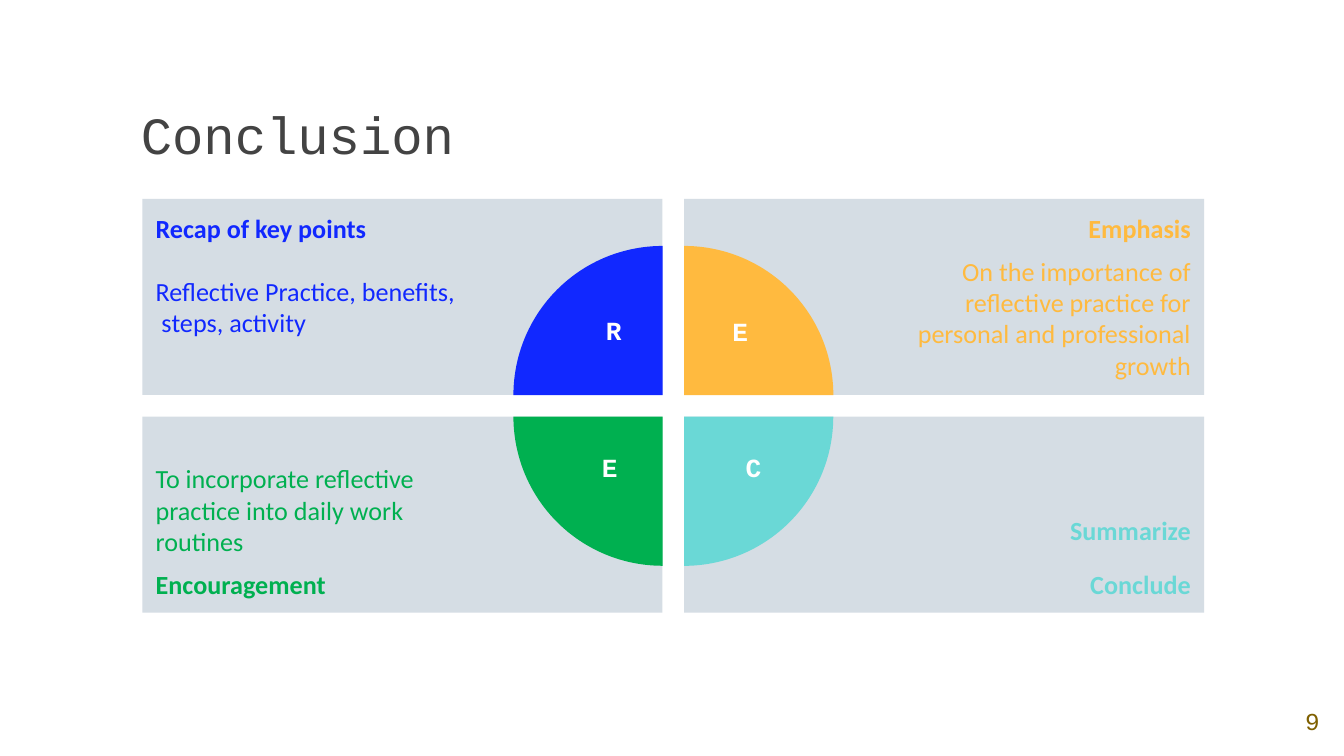
import pptx
import pptx.util
import pptx.dml.color
import pptx.enum.shapes
import pptx.enum.text

Inches, Pt = pptx.util.Inches, pptx.util.Pt
SHAPE = pptx.enum.shapes.MSO_SHAPE
ALIGN = pptx.enum.text.PP_ALIGN
ANCHOR = pptx.enum.text.MSO_ANCHOR

COLORS = {
    "title": "434343", "number": "7F6000", "panel": "D5DDE4", "letter": "FFFFFF",
    "recap": "1128FF", "emphasis": "FFBA3F", "encourage": "00B050", "summary": "6AD8D6",
}
LEFT, TOP, PANEL_W, PANEL_H, GAP = 1.06, 1.48, 3.87, 1.46, 0.16
PIE_D = 2.22  # diameter of each quarter's full circle
PAD, PIE_PAD = 0.1, 1.5


def rgb(name):
    return pptx.dml.color.RGBColor.from_string(COLORS[name])


def set_frame(tf, anchor, margins):
    tf.word_wrap = True
    tf.vertical_anchor = anchor
    sides = ("margin_left", "margin_top", "margin_right", "margin_bottom")
    for side, value in zip(sides, margins):
        setattr(tf, side, Inches(value))


def write(p, text, color, font, align=ALIGN.LEFT, before=0):
    p.text = text
    for key, value in {"alignment": align, "space_before": Pt(before)}.items():
        setattr(p, key, value)
    r = p.runs[0]
    for key, value in font.items():
        setattr(r.font, key, value)
    r.font.color.rgb = rgb(color)


def add_label(s, box, text, color, font, anchor, margins, align=ALIGN.LEFT):
    tf = s.shapes.add_textbox(*map(Inches, box)).text_frame
    set_frame(tf, anchor, margins)
    write(tf.paragraphs[0], text, color, font, align)


def add_filled(s, kind, box, color):
    sp = s.shapes.add_shape(kind, *map(Inches, box))
    sp.shadow.inherit = False
    sp.fill.solid()
    sp.fill.fore_color.rgb = rgb(color)
    sp.line.fill.background()
    return sp


def add_panel(s, box, color, right, bottom, lines):
    sp = add_filled(s, SHAPE.RECTANGLE, box, "panel")
    tf = sp.text_frame
    margins = (PIE_PAD, PAD, PAD, PAD) if right else (PAD, PAD, PIE_PAD, PAD)
    set_frame(tf, ANCHOR.BOTTOM if bottom else ANCHOR.TOP, margins)
    align = ALIGN.RIGHT if right else ALIGN.LEFT
    for i, (text, bold, before) in enumerate(lines):
        p = tf.add_paragraph() if i else tf.paragraphs[0]
        font = {"name": "Calibri", "size": Pt(14), "bold": bold}
        write(p, text, color, font, align, before)


def add_quarter(s, box, color, right, bottom):
    """Quarter circle whose centre is the panel corner nearest the slide middle."""
    x, y, w, h = box
    cx = x if right else x + w
    cy = y if bottom else y + h
    sp = add_filled(s, SHAPE.PIE, (cx - PIE_D / 2, cy - PIE_D / 2, PIE_D, PIE_D), color)
    sp.adjustments[0], sp.adjustments[1] = 108, 162  # 180 to 270 degrees
    sp.rotation = {(0, 0): 0, (1, 0): 90, (1, 1): 180, (0, 1): 270}[right, bottom]


prs = pptx.Presentation()
prs.slide_width, prs.slide_height = Inches(10), Inches(10 * 9 / 16)
s = prs.slides.add_slide(prs.slide_layouts[6])

# Title and slide number
add_label(s, (0.95, 0.39, 6.15, 0.94), "Conclusion", "title",
          {"name": "Courier New", "size": Pt(28)}, ANCHOR.BOTTOM, [PAD] * 4)
add_label(s, (9.53, 5.11, 0.47, 0.51), "9", "number",
          {"name": "Courier New", "size": Pt(13)}, ANCHOR.MIDDLE, [PAD] * 4, ALIGN.CENTER)

# Quadrants: column, row, colour, letter, letter box, (text, bold, space before)
QUADRANTS = [
    (0, 0, "recap", "R", (4.41, 2.29, 0.24, 0.37),
     [("Recap of key points", True, 0),
      ("Reflective Practice, benefits,  steps, activity", False, 17)]),
    (1, 0, "emphasis", "E", (5.35, 2.3, 0.28, 0.35),
     [("Emphasis", True, 0),
      ("On the importance of reflective practice for personal and professional growth",
       False, 6)]),
    (1, 1, "summary", "C", (5.45, 3.31, 0.26, 0.35),
     [("Summarize", True, 0), ("Conclude", True, 12)]),
    (0, 1, "encourage", "E", (4.38, 3.31, 0.26, 0.37),
     [("To incorporate reflective practice into daily work routines", False, 0),
      ("Encouragement", True, 6)]),
]
boxes = [(LEFT + col * (PANEL_W + GAP), TOP + row * (PANEL_H + GAP), PANEL_W, PANEL_H)
         for col, row, *rest in QUADRANTS]

# Panels lie behind the quarter circles, letters on top
for box, (col, row, color, letter, spot, lines) in zip(boxes, QUADRANTS):
    add_panel(s, box, color, col, row, lines)
for box, (col, row, color, letter, spot, lines) in zip(boxes, QUADRANTS):
    add_quarter(s, box, color, col, row)
for col, row, color, letter, spot, lines in QUADRANTS:
    add_label(s, spot, letter, "letter",
              {"name": "Courier New", "size": Pt(14), "bold": True},
              ANCHOR.TOP, (0.1, 0.05, 0.1, 0.05), ALIGN.CENTER)

prs.save("out.pptx")
